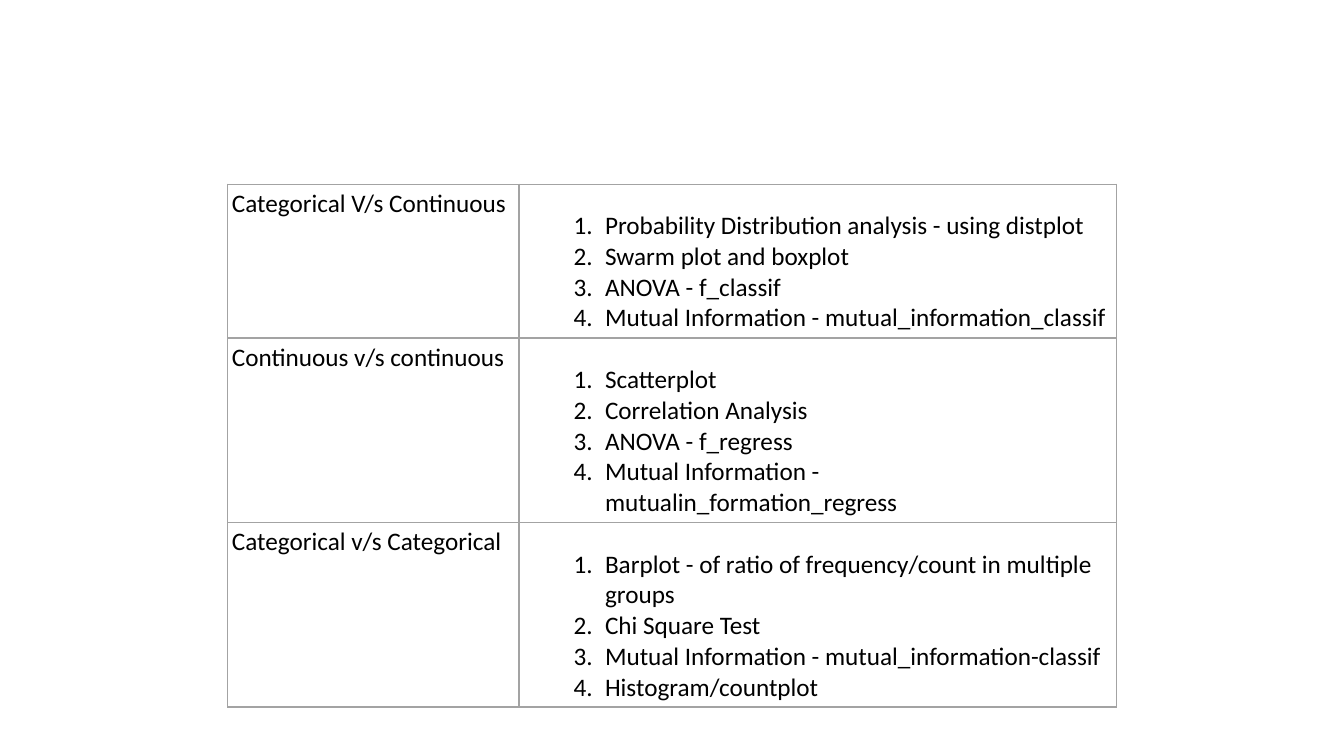
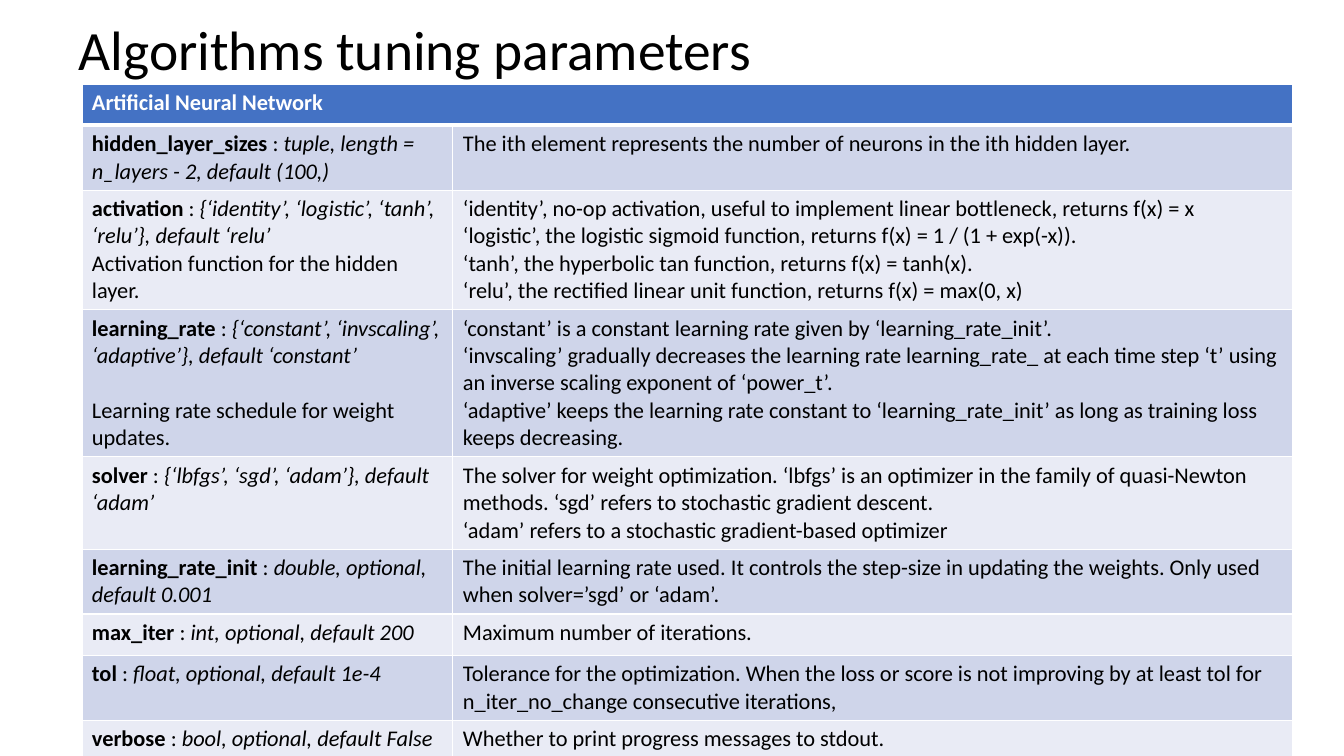
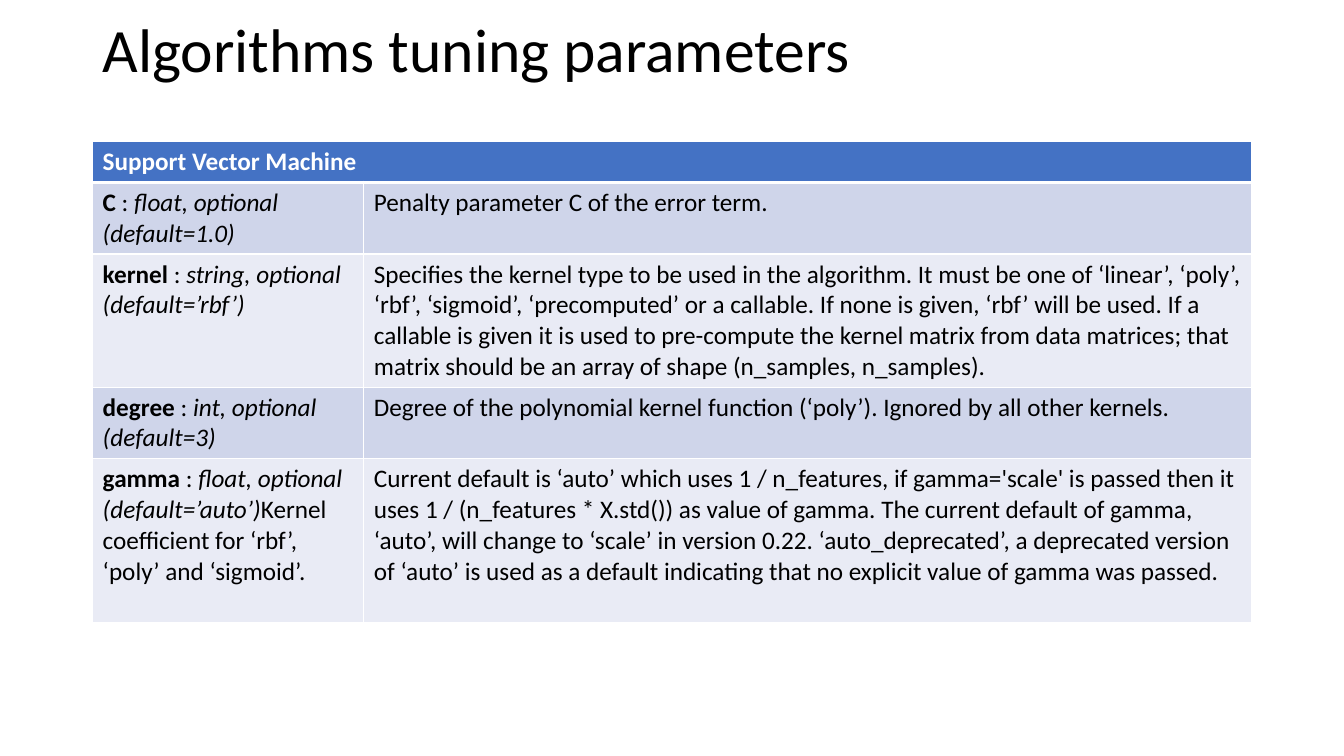
"""Build three slides on analysis methods and algorithm tuning parameters."""
from dataclasses import dataclass

from lxml import etree
from pptx import Presentation
from pptx.dml.color import RGBColor
from pptx.enum.text import MSO_ANCHOR, MSO_AUTO_SIZE, PP_ALIGN
from pptx.oxml.ns import qn
from pptx.util import Pt

MIDDLE = MSO_ANCHOR.MIDDLE
NO_FIT = MSO_AUTO_SIZE.NONE
LEFT = PP_ALIGN.LEFT
BLANK, TITLED = 6, 5


@dataclass(frozen=True)
class Theme:
    """Colours, type sizes and line rules shared by the slides."""
    font: str = "Calibri"
    ink: str = "000000"
    paper: str = "FFFFFF"
    head: str = "4472C4"
    bands: tuple[str, str] = ("CFD5EA", "E9EBF5")
    rule: str = "A3A3A3"
    small: float = 16
    large: float = 18
    lead: float = 1.22
    thin: float = 1
    thick: float = 3
    pad: float = 7.2
    least: float = 29.5


@dataclass(frozen=True)
class Method:
    """A pair of variable kinds with its numbered methods."""
    pair: str
    steps: tuple[str, ...]
    lines: int


@dataclass(frozen=True)
class Param:
    """A tuning parameter; gap is the space before its note, None to run on."""
    name: str
    kind: str
    texts: tuple[str, ...]
    lines: int
    note: str = ""
    gap: float | None = 0


@dataclass(frozen=True)
class Sheet:
    """A titled slide with one parameter table."""
    box: tuple[float, float, float, float]
    title: float
    head: str
    spot: tuple[float, float]
    cols: tuple[float, float]
    size: float
    rows: tuple[Param, ...]


THEME = Theme()
TITLE = "Algorithms tuning parameters"

METHODS = (
    Method("Categorical V/s Continuous", (
        "Probability Distribution analysis - using distplot",
        "Swarm plot and boxplot",
        "ANOVA - f_classif",
        "Mutual Information - mutual_information_classif"), 4),
    Method("Continuous v/s continuous", (
        "Scatterplot",
        "Correlation Analysis",
        "ANOVA - f_regress",
        "Mutual Information - mutualin_formation_regress"), 5),
    Method("Categorical v/s Categorical", (
        "Barplot - of ratio of frequency/count in multiple groups",
        "Chi Square Test",
        "Mutual Information - mutual_information-classif",
        "Histogram/countplot"), 5),
)

NEURAL = Sheet(
    (49, 12.2, 828, 51), 39.6, "Artificial Neural Network",
    (58.5, 60), (265, 599.8), THEME.small, (
        Param("hidden_layer_sizes", "tuple, length = n_layers - 2, default (100,)", (
            "The ith element represents the number of neurons in the ith hidden layer.",), 2),
        Param("activation", "{‘identity’, ‘logistic’, ‘tanh’, ‘relu’}, default ‘relu’", (
            "‘identity’, no-op activation, useful to implement linear bottleneck, returns f(x) = x",
            "‘logistic’, the logistic sigmoid function, returns f(x) = 1 / (1 + exp(-x)).",
            "‘tanh’, the hyperbolic tan function, returns f(x) = tanh(x).",
            "‘relu’, the rectified linear unit function, returns f(x) = max(0, x)"), 4,
            "Activation function for the hidden layer."),
        Param("learning_rate", "{‘constant’, ‘invscaling’, ‘adaptive’}, default ‘constant’", (
            "‘constant’ is a constant learning rate given by ‘learning_rate_init’.",
            "‘invscaling’ gradually decreases the learning rate learning_rate_ at each time step "
            "‘t’ using an inverse scaling exponent of ‘power_t’.",
            "‘adaptive’ keeps the learning rate constant to ‘learning_rate_init’ as long as "
            "training loss keeps decreasing."), 5,
            "Learning rate schedule for weight updates.", 19.5),
        Param("solver", "{‘lbfgs’, ‘sgd’, ‘adam’}, default ‘adam’", (
            "The solver for weight optimization. ‘lbfgs’ is an optimizer in the family of "
            "quasi-Newton methods. ‘sgd’ refers to stochastic gradient descent.",
            "‘adam’ refers to a stochastic gradient-based optimizer"), 3),
        Param("learning_rate_init", "double, optional, default 0.001", (
            "The initial learning rate used. It controls the step-size in updating the weights. "
            "Only used when solver=’sgd’ or ‘adam’.",), 2),
        Param("max_iter", "int, optional, default 200", (
            "Maximum number of iterations.",), 1),
        Param("tol", "float, optional, default 1e-4", (
            "Tolerance for the optimization. When the loss or score is not improving by at "
            "least tol for n_iter_no_change consecutive iterations,",), 2),
        Param("verbose", "bool, optional, default False", (
            "Whether to print progress messages to stdout.",), 1),
    ))

VECTOR = Sheet(
    (66, 10, 828, 55), 44, "Support Vector Machine",
    (66.2, 100.8), (193.7, 634.3), THEME.large, (
        Param("C", "float, optional (default=1.0)", (
            "Penalty parameter C of the error term.",), 2),
        Param("kernel", "string, optional (default=’rbf’)", (
            "Specifies the kernel type to be used in the algorithm. It must be one of ‘linear’, "
            "‘poly’, ‘rbf’, ‘sigmoid’, ‘precomputed’ or a callable. If none is given, ‘rbf’ will "
            "be used. If a callable is given it is used to pre-compute the kernel matrix from "
            "data matrices; that matrix should be an array of shape (n_samples, n_samples).",), 4),
        Param("degree", "int, optional (default=3)", (
            "Degree of the polynomial kernel function (‘poly’). Ignored by all other kernels.",), 2),
        Param("gamma", "float, optional (default=’auto’)", (
            "Current default is ‘auto’ which uses 1 / n_features, if gamma='scale' is passed then "
            "it uses 1 / (n_features * X.std()) as value of gamma. The current default of gamma, "
            "‘auto’, will change to ‘scale’ in version 0.22. ‘auto_deprecated’, a deprecated "
            "version of ‘auto’ is used as a default indicating that no explicit value of gamma "
            "was passed.",), 5,
            "Kernel coefficient for ‘rbf’, ‘poly’ and ‘sigmoid’.", None),
    ))


def write(para, text: str, *, size: float, color: str = THEME.ink,
          bold: bool = False, slant: bool = False) -> None:
    """Add one formatted run to a paragraph."""
    run = para.add_run()
    run.text = text
    font = run.font
    font.name, font.size = THEME.font, Pt(size)
    font.bold, font.italic = bold, slant
    font.color.rgb = RGBColor.from_string(color)


def fresh(frame, first: bool):
    """Return the first paragraph of a frame, or a new one."""
    return frame.paragraphs[0] if first else frame.add_paragraph()


def number(para) -> None:
    """Make a paragraph a numbered item with a hanging indent."""
    para.level = 1
    props = para._p.get_or_add_pPr()
    props.set("marL", str(Pt(58.5)))
    props.set("indent", str(-Pt(22.5)))
    etree.SubElement(props, qn("a:buFont"), typeface="+mj-lt")
    etree.SubElement(props, qn("a:buAutoNum"), type="arabicPeriod")


def frame(cell, color: str, top: float = THEME.thin, base: float = THEME.thin) -> None:
    """Draw the four borders of a cell."""
    props = cell._tc.get_or_add_tcPr()
    sides = {"L": THEME.thin, "R": THEME.thin, "T": top, "B": base}
    for side, width in sides.items():
        line = etree.SubElement(props, qn(f"a:ln{side}"), w=str(Pt(width)))
        fill = etree.SubElement(line, qn("a:solidFill"))
        etree.SubElement(fill, qn("a:srgbClr"), val=color)


def paint(cell, color: str) -> None:
    """Fill a cell with one colour."""
    cell.fill.solid()
    cell.fill.fore_color.rgb = RGBColor.from_string(color)


def grid(slide, spot: tuple[float, float], cols: tuple[float, ...], rows: list[float]):
    """Add a plain table with the given column widths and row heights."""
    area = (*spot, sum(cols), sum(rows))
    table = slide.shapes.add_table(len(rows), len(cols), *map(Pt, area)).table
    table.first_row = table.horz_banding = False
    for col, width in zip(table.columns, cols):
        col.width = Pt(width)
    for row, height in zip(table.rows, rows):
        row.height = Pt(height)
    return table


def methods(deck) -> None:
    """Draw the table of methods for each pair of variables."""
    slide = deck.slides.add_slide(deck.slide_layouts[BLANK])
    size, pad, drop = THEME.large, 3, 19
    rows = [item.lines * size * THEME.lead + drop + pad for item in METHODS]
    table = grid(slide, (162.7, 131.5), (208, 427), rows)
    for index, item in enumerate(METHODS):
        name, steps = table.cell(index, 0), table.cell(index, 1)
        for cell in (name, steps):
            cell.margin_left = cell.margin_right = Pt(pad)
            cell.margin_top = cell.margin_bottom = Pt(pad)
            frame(cell, THEME.rule)
            cell.fill.background()
        steps.margin_top = Pt(drop)
        write(name.text_frame.paragraphs[0], item.pair, size=size)
        for spot, step in enumerate(item.steps):
            para = fresh(steps.text_frame, spot == 0)
            number(para)
            write(para, step, size=size)


def label(cell, item: Param, size: float) -> None:
    """Write the name, kind and note of a parameter."""
    para = cell.text_frame.paragraphs[0]
    write(para, item.name, size=size, bold=True)
    write(para, " : ", size=size)
    write(para, item.kind, size=size, slant=True)
    if item.note:
        if item.gap is not None:
            para = cell.text_frame.add_paragraph()
            para.space_before = Pt(item.gap)
        write(para, item.note, size=size)


def head(slide, sheet: Sheet) -> None:
    """Place and format the title of a slide."""
    shape = slide.shapes.title
    shape.left, shape.top, shape.width, shape.height = map(Pt, sheet.box)
    text = shape.text_frame
    text.word_wrap, text.auto_size = True, NO_FIT
    text.vertical_anchor = MIDDLE
    para = text.paragraphs[0]
    para.alignment, para.line_spacing = LEFT, 0.9
    write(para, TITLE, size=sheet.title)


def params(deck, sheet: Sheet) -> None:
    """Draw a titled slide with a banded parameter table."""
    slide = deck.slides.add_slide(deck.slide_layouts[TITLED])
    head(slide, sheet)
    size = sheet.size
    rows = [max(THEME.least, item.lines * size * THEME.lead + THEME.pad)
            for item in sheet.rows]
    table = grid(slide, sheet.spot, sheet.cols, [THEME.least, *rows])
    first = table.cell(0, 0)
    first.merge(table.cell(0, 1))
    for cell in (first, table.cell(0, 1)):
        frame(cell, THEME.paper, base=THEME.thick)
        paint(cell, THEME.head)
    write(first.text_frame.paragraphs[0], sheet.head, size=size,
          color=THEME.paper, bold=True)
    for index, item in enumerate(sheet.rows):
        name, about = table.cell(index + 1, 0), table.cell(index + 1, 1)
        for cell in (name, about):
            frame(cell, THEME.paper, top=THEME.thin if index else THEME.thick)
            paint(cell, THEME.bands[index % 2])
        label(name, item, size)
        for spot, text in enumerate(item.texts):
            write(fresh(about.text_frame, spot == 0), text, size=size)


def main() -> None:
    """Build and save the deck."""
    deck = Presentation()
    deck.slide_width, deck.slide_height = Pt(960), Pt(540)
    methods(deck)
    for sheet in (NEURAL, VECTOR):
        params(deck, sheet)
    deck.save("out.pptx")


if __name__ == "__main__":
    main()
